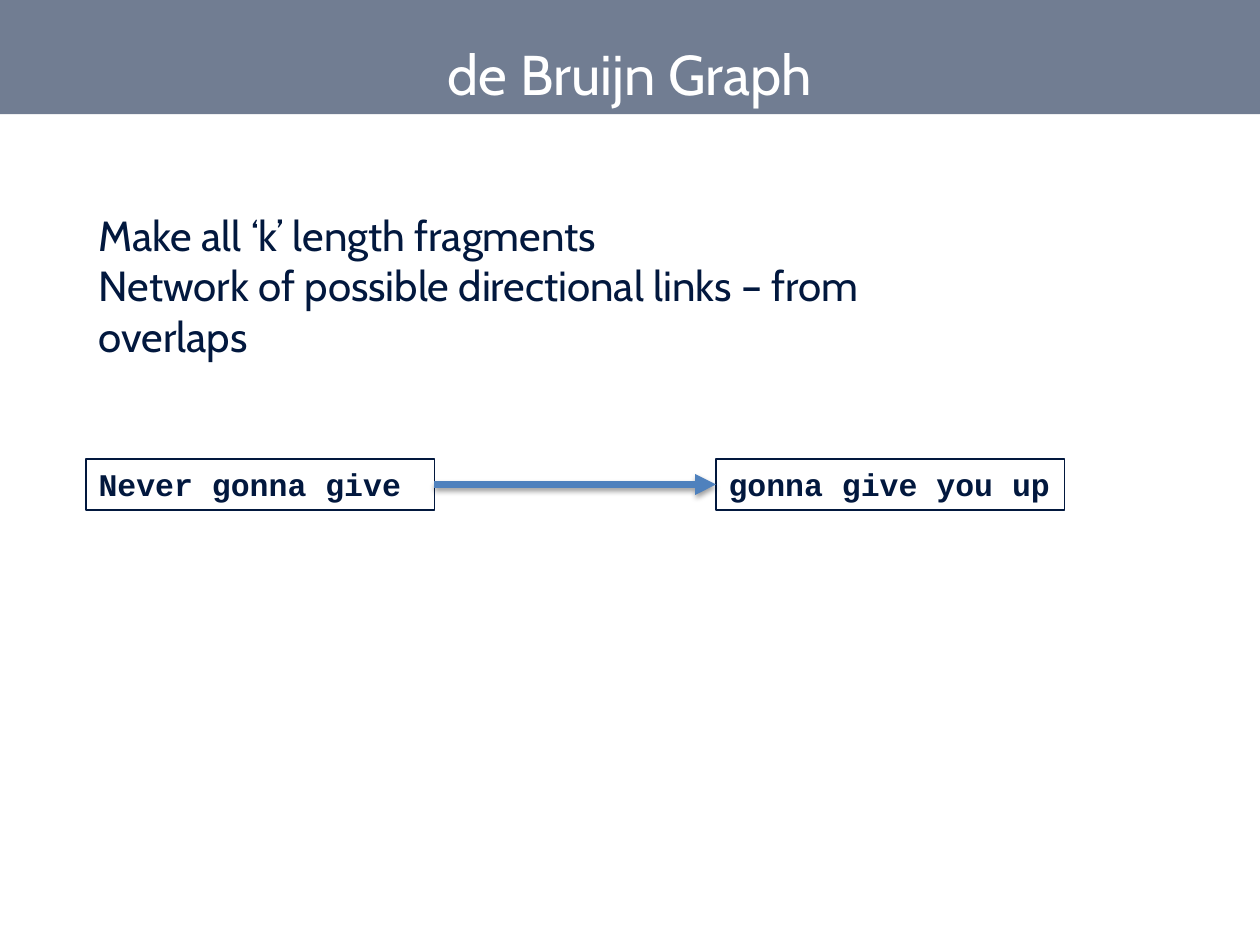
from dataclasses import dataclass

from lxml.etree import SubElement
from pptx import Presentation
from pptx.dml.color import RGBColor
from pptx.enum.shapes import MSO_CONNECTOR as Connector, MSO_SHAPE as Preset
from pptx.enum.text import MSO_ANCHOR as Anchor, MSO_AUTO_SIZE as AutoSize, PP_ALIGN as Align
from pptx.oxml.ns import qn
from pptx.util import Pt

NAVY = "02183E"
WHITE = "FFFFFF"
BLUE = "4F81BD"
NODE_TOP, NODE_WIDTH, NODE_HEIGHT = 262.3, 198.9, 29.1


@dataclass
class Node:
    text: str
    left: float


NODES = [Node("Never gonna give", 49.2), Node("gonna give you up", 409.2)]


def color(value: str) -> RGBColor:
    return RGBColor.from_string(value)


def place(shape, left: float, top: float, width: float, height: float) -> None:
    shape.left, shape.top = Pt(left), Pt(top)
    shape.width, shape.height = Pt(width), Pt(height)


def style(para, name: str, size: float, value: str, bold: bool = False) -> None:
    para.font.name = name
    para.font.size = Pt(size)
    para.font.bold = bold
    para.font.color.rgb = color(value)


def fill_title(title, text: str) -> None:
    place(title, 0, 0, 720, 65.3)
    title.fill.solid()
    title.fill.fore_color.rgb = color(NAVY)
    tint = title.fill._xPr.find(".//" + qn("a:srgbClr"))
    SubElement(tint, qn("a:alpha"), val="56000")
    frame = title.text_frame
    frame.text = text
    frame.auto_size = AutoSize.NONE
    frame.vertical_anchor = Anchor.TOP
    para = frame.paragraphs[0]
    para.alignment = Align.CENTER
    para.line_spacing = 1.5
    style(para, "Cabin", 32, WHITE)


def fill_body(body, lines: list[str]) -> None:
    place(body, 49.2, 116, 535, 94)
    frame = body.text_frame
    frame.text = "\n".join(lines)
    frame.auto_size = AutoSize.NONE
    for para in frame.paragraphs:
        properties = para._p.get_or_add_pPr()
        properties.set("marL", "0")
        properties.set("indent", "0")
        SubElement(properties, qn("a:buNone"))
        para.space_before = Pt(0)
        style(para, "Cabin", 24, NAVY)


def add_node(page, node: Node):
    box = page.shapes.add_shape(
        Preset.RECTANGLE, Pt(node.left), Pt(NODE_TOP), Pt(NODE_WIDTH), Pt(NODE_HEIGHT)
    )
    box.shadow.inherit = False
    box.fill.background()
    box.line.color.rgb = color(NAVY)
    box.line.width = Pt(0.75)
    frame = box.text_frame
    frame.word_wrap = True
    frame.vertical_anchor = Anchor.TOP
    para = frame.paragraphs[0]
    para.text = node.text
    para.alignment = Align.LEFT
    style(para, "Courier New", 18, NAVY, bold=True)
    return box


def add_link(page, start, end) -> None:
    link = page.shapes.add_connector(Connector.STRAIGHT, 0, 0, 0, 0)
    link.begin_connect(start, 3)
    link.end_connect(end, 1)
    link.line.color.rgb = color(BLUE)
    link.line.width = Pt(4)
    SubElement(link.line._get_or_add_ln(), qn("a:tailEnd"), type="triangle")
    effects = SubElement(link._element.spPr, qn("a:effectLst"))
    shadow = SubElement(
        effects, qn("a:outerShdw"),
        blurRad="40000", dist="20000", dir="5400000", rotWithShape="0",
    )
    black = SubElement(shadow, qn("a:srgbClr"), val="000000")
    SubElement(black, qn("a:alpha"), val="38000")


def main() -> None:
    deck = Presentation()
    deck.slide_width, deck.slide_height = Pt(720), Pt(540)
    page = deck.slides.add_slide(deck.slide_layouts[1])
    fill_title(page.shapes.title, "de Bruijn Graph")
    fill_body(page.placeholders[1], [
        "Make all ‘k’ length fragments",
        "Network of possible directional links – from overlaps",
    ])
    start, end = [add_node(page, node) for node in NODES]
    add_link(page, start, end)
    deck.save("out.pptx")


if __name__ == "__main__":
    main()
